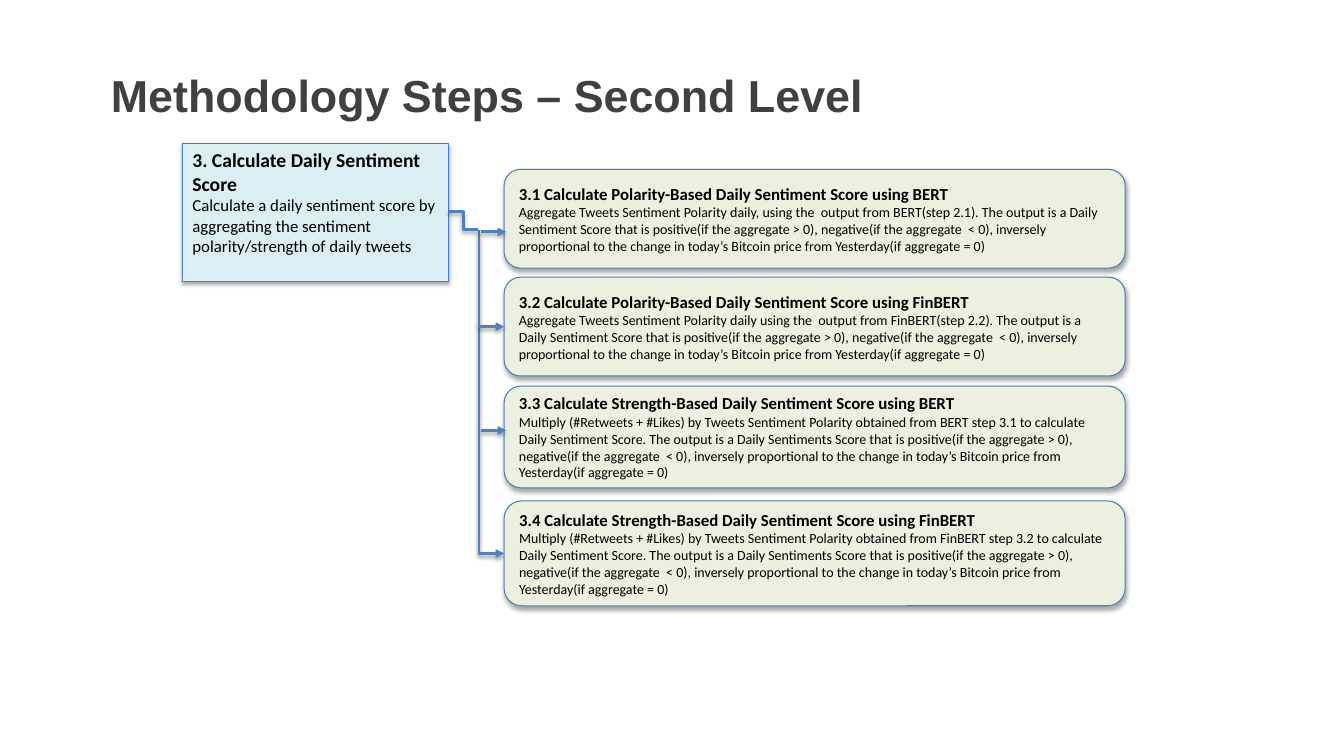
import pptx
import pptx.util
import pptx.dml.color
import pptx.enum.shapes
import pptx.enum.text
import pptx.oxml
import pptx.oxml.ns

PX = 9144  # EMU per px, 100 px to the inch
RGB = pptx.dml.color.RGBColor.from_string
SHAPE = pptx.enum.shapes.MSO_SHAPE
LINK = pptx.enum.shapes.MSO_CONNECTOR
ANCHOR = pptx.enum.text.MSO_ANCHOR
LEFT = pptx.enum.text.PP_ALIGN.LEFT
NS = pptx.oxml.ns.nsdecls("a")

THEME = {
    "title_font": "Arial", "body_font": "Calibri",
    "title": "404040", "text": "000000",
    "step": "DBEEF4", "substep": "EBF1DE", "border": "4B7EBC", "link": "4F81BD",
    "title_size": 32, "step_sizes": (14, 12), "substep_sizes": (12, 10),
    "border_width": 0.75, "link_width": 2,
}

OUTCOME = (
    " that is positive(if the aggregate > 0), negative(if the aggregate  < 0), inversely "
    "proportional to the change in today’s Bitcoin price from Yesterday(if aggregate = 0)"
)
STEP = (
    "3. Calculate Daily Sentiment Score",
    "Calculate a daily sentiment score by aggregating the sentiment "
    "polarity/strength of daily tweets",
)
# top, height, heading, description
SUBSTEPS = [
    (168, 98, "3.1 Calculate Polarity-Based Daily Sentiment Score using BERT",
     "Aggregate Tweets Sentiment Polarity daily, using the  output from BERT(step 2.1). "
     "The output is a Daily Sentiment Score"),
    (275, 98, "3.2 Calculate Polarity-Based Daily Sentiment Score using FinBERT",
     "Aggregate Tweets Sentiment Polarity daily using the  output from FinBERT(step 2.2). "
     "The output is a Daily Sentiment Score"),
    (383, 101, "3.3 Calculate Strength-Based Daily Sentiment Score using BERT",
     "Multiply (#Retweets + #Likes) by Tweets Sentiment Polarity obtained from BERT step 3.1 "
     "to calculate Daily Sentiment Score. The output is a Daily Sentiments Score"),
    (497, 104, "3.4 Calculate Strength-Based Daily Sentiment Score using FinBERT",
     "Multiply (#Retweets + #Likes) by Tweets Sentiment Polarity obtained from FinBERT step 3.2 "
     "to calculate Daily Sentiment Score. The output is a Daily Sentiments Score"),
]
# kind, from x, from y, to x, to y, elbow position in 1/1000 %, arrowhead
TRUNK = (LINK.ELBOW, 475, 228, 500, 549, 0, True)
BRANCHES = [
    (LINK.STRAIGHT, 474, 324, 500, 324, None, True),
    (LINK.STRAIGHT, 477, 427, 502, 427, None, True),
    (LINK.STRAIGHT, 477, 230, 502, 230, None, True),
    (LINK.ELBOW, 445, 210, 474, 228, 50000, False),
]
SHADOW = (
    f'<a:effectLst {NS}><a:outerShdw blurRad="39370" dist="%d" dir="5400000" rotWithShape="0">'
    '<a:srgbClr val="000000"><a:alpha val="%d"/></a:srgbClr></a:outerShdw></a:effectLst>'
)


def add_card(kind, box, fill, sizes, texts, anchor):
    """Add a shadowed box with a bold heading over a plain description."""
    s = slide.shapes.add_shape(kind, *(v * PX for v in box))
    s.fill.solid()
    s.fill.fore_color.rgb = RGB(fill)
    s.line.color.rgb = RGB(THEME["border"])
    s.line.width = pptx.util.Pt(THEME["border_width"])
    s._element.spPr.append(pptx.oxml.parse_xml(SHADOW % (22860, 35000)))
    tf = s.text_frame
    tf.word_wrap = True
    tf.vertical_anchor = anchor
    for i, (text, size) in enumerate(zip(texts, sizes)):
        p = tf.add_paragraph() if i else tf.paragraphs[0]
        p.alignment = LEFT
        r = p.add_run()
        r.text = text
        r.font.name = THEME["body_font"]
        r.font.size = pptx.util.Pt(size)
        r.font.bold = i == 0
        r.font.color.rgb = RGB(THEME["text"])


def add_link(kind, x1, y1, x2, y2, bend, arrow):
    s = slide.shapes.add_connector(kind, x1 * PX, y1 * PX, x2 * PX, y2 * PX)
    s.line.color.rgb = RGB(THEME["link"])
    s.line.width = pptx.util.Pt(THEME["link_width"])
    if bend is not None:
        guide = f'<a:gd {NS} name="adj1" fmla="val {bend}"/>'
        s._element.spPr.prstGeom.get_or_add_avLst().append(pptx.oxml.parse_xml(guide))
    if arrow:
        s.line._get_or_add_ln().append(pptx.oxml.parse_xml(f'<a:tailEnd {NS} type="triangle"/>'))
    s._element.spPr.append(pptx.oxml.parse_xml(SHADOW % (20320, 38000)))


prs = pptx.Presentation()
prs.slide_width, prs.slide_height = 1333 * PX, 750 * PX
slide = prs.slides.add_slide(prs.slide_layouts[5])

title = slide.shapes.title
title.left, title.top, title.width, title.height = (v * PX for v in (100, 62, 1131, 115))
tf = title.text_frame
tf.vertical_anchor = ANCHOR.TOP
p = tf.paragraphs[0]
p.alignment = LEFT
r = p.add_run()
r.text = "Methodology Steps – Second Level"
r.font.name = THEME["title_font"]
r.font.size = pptx.util.Pt(THEME["title_size"])
r.font.bold = True
r.font.color.rgb = RGB(THEME["title"])

add_link(*TRUNK)
add_card(SHAPE.RECTANGLE, (181, 142, 264, 137), THEME["step"],
         THEME["step_sizes"], STEP, ANCHOR.TOP)
for top, height, heading, description in SUBSTEPS:
    add_card(SHAPE.ROUNDED_RECTANGLE, (500, top, 616, height), THEME["substep"],
             THEME["substep_sizes"], (heading, description + OUTCOME), ANCHOR.MIDDLE)
for branch in BRANCHES:
    add_link(*branch)

prs.save("out.pptx")
